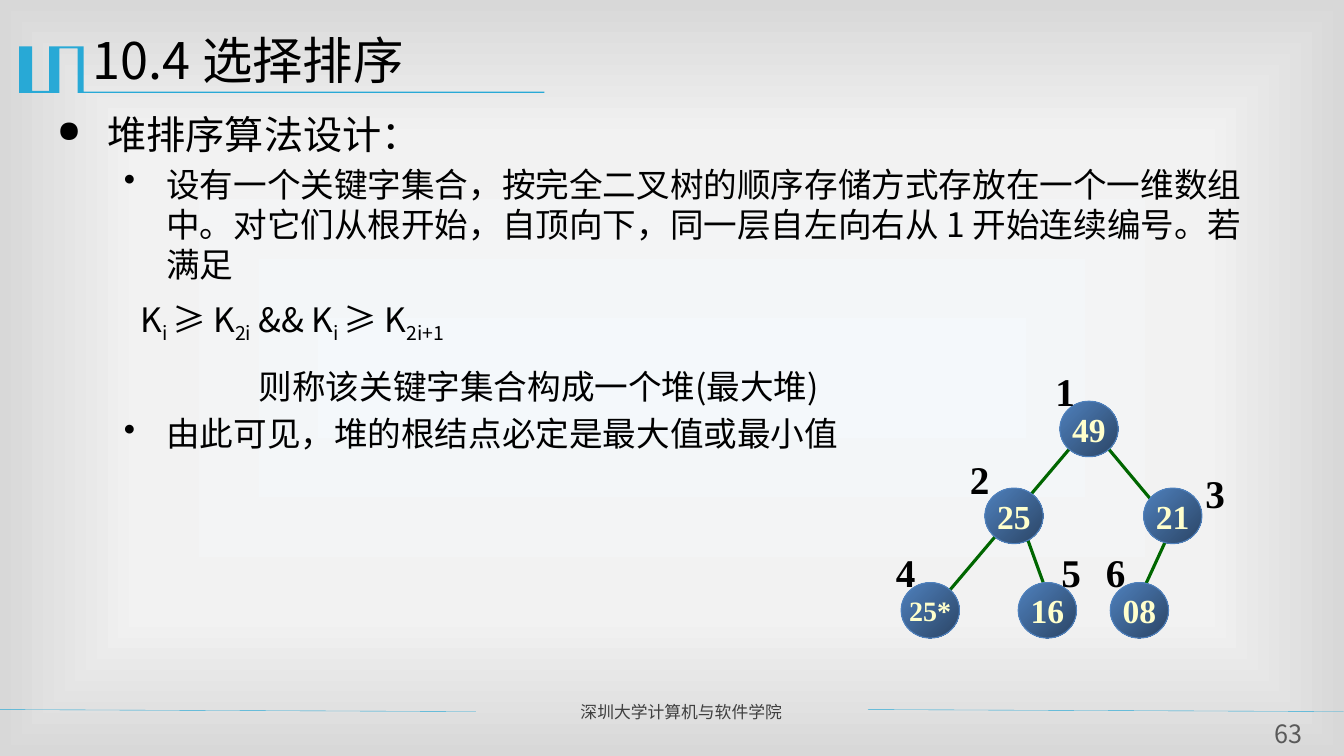
"""Build the heap sort slide: heading, definition text and a numbered heap."""
from lxml import etree
from pptx import Presentation
from pptx.dml.color import RGBColor
from pptx.enum.shapes import MSO_CONNECTOR as Line, MSO_SHAPE as Shape
from pptx.enum.text import MSO_ANCHOR as Anchor, PP_ALIGN as Align
from pptx.oxml import parse_xml
from pptx.oxml.ns import nsdecls, qn
from pptx.util import Cm, Pt

SANS, SERIF = "Noto Sans CJK SC", "Times New Roman"
BLACK, SKY, GREEN, BLUE, NAVY = "000000", "28A9D6", "006600", "4F81BD", "2B4566"
INSET = (0.25, 0.13)

BACK = [(0, "F4F8FB"), (63, "F2F2F2"), (100, "D8D8D8")]
BADGE = [(2.08, 1.17), (2.11, 1.17), (2.11, 2.31), (13.72, 2.31),
         (13.72, 2.34), (1.96, 2.34), (1.96, 1.22), (1.5, 1.22),
         (1.5, 2.34), (0.48, 2.34), (0.48, 1.17), (0.81, 1.17),
         (0.81, 2.29), (1.24, 2.29), (1.24, 1.17)]
RULES = [(-0.03, 17.88, 11.99, 17.93), (21.87, 17.88, 33.86, 17.93)]

TITLE = "10.4 选择排序"
SCHOOL = "深圳大学计算机与软件学院"
PAGE = "63"
FORMULA = [("K", 0), ("i ", 1), ("≥ K", 0), ("2i", 1), (" && K", 0),
           ("i ", 1), ("≥ K", 0), ("2i+1", 1)]
BODY = [
    dict(runs=[("堆排序算法设计：", 0)], size=28, bullet="●", scale=77,
         left=1.27, hang=1.27),
    dict(runs=[("设有一个关键字集合，按完全二叉树的顺序存储方式存放在一个一维数组中。"
                "对它们从根开始，自顶向下，同一层自左向右从 1 开始连续编号。若满足", 0)],
         bullet="•", left=2.75, hang=1.07, before=4.8),
    dict(runs=FORMULA, left=2.11, ratio=0.9, before=10.4, after=12),
    dict(runs=[("则称该关键字集合构成一个堆(最大堆)", 0)],
         left=5.08, ratio=1.05, before=5),
    dict(runs=[("由此可见，堆的根结点必定是最大值或最小值", 0)],
         bullet="•", left=2.75, hang=1.07, before=4.8),
]

EDGES = [(29.44, 13.49, 28.8, 14.88), (27.76, 11.1, 29.44, 13.11),
         (25.86, 13.49, 26.29, 14.68), (27.13, 11.1, 23.75, 15.09)]
NODES = [("49", 26.71, 10.11), ("25", 24.82, 12.3), ("21", 28.82, 12.3),
         ("25*", 22.71, 14.68), ("16", 25.66, 14.68), ("08", 27.98, 14.68)]
MARKS = [("1", 26.35, 9.12), ("2", 24.19, 11.35), ("3", 30.13, 11.7),
         ("4", 22.33, 13.69), ("5", 26.5, 13.69), ("6", 27.62, 13.69)]


def paint(color, tone):
    color.rgb = RGBColor.from_string(tone)


def set_frame(frame, inset=INSET, wrap=True):
    frame.word_wrap = wrap
    frame.margin_left = frame.margin_right = Cm(inset[0])
    frame.margin_top = frame.margin_bottom = Cm(inset[1])
    return frame


def add_box(left, top, width, height, inset=INSET, wrap=True):
    box = slide.shapes.add_textbox(Cm(left), Cm(top), Cm(width), Cm(height))
    return set_frame(box.text_frame, inset, wrap)


def add_run(para, text, size, tone=BLACK, face=SANS, bold=False, sub=0):
    run = para.add_run()
    run.text = text
    font = run.font
    font.size, font.name, font.bold = Pt(size), face, bold
    paint(font.color, tone)
    props = font._element
    etree.SubElement(props, qn("a:ea")).set("typeface", face)
    if sub:
        props.set("baseline", "-25000")


def add_line(ends, tone, width):
    line = slide.shapes.add_connector(Line.STRAIGHT, *[Cm(n) for n in ends])
    paint(line.line.color, tone)
    line.line.width = Pt(width)
    etree.SubElement(line._element.spPr, qn("a:effectLst"))


def add_back():
    stops = "".join(f'<a:gs pos="{pos * 1000}"><a:srgbClr val="{tone}"/></a:gs>'
                    for pos, tone in BACK)
    fill = slide.background.fill
    fill.gradient()
    old = slide._element.cSld.find(".//" + qn("a:gradFill"))
    old.getparent().replace(old, parse_xml(
        f'<a:gradFill {nsdecls("a")} rotWithShape="1"><a:gsLst>{stops}</a:gsLst>'
        '<a:path path="rect"><a:fillToRect l="50000" t="50000" r="50000" b="50000"/>'
        '</a:path></a:gradFill>'))


def add_badge():
    first, *rest = [(Cm(x), Cm(y)) for x, y in BADGE]
    pen = slide.shapes.build_freeform(*first)
    pen.add_line_segments(rest, close=True)
    badge = pen.convert_to_shape()
    badge.shadow.inherit = False
    badge.fill.solid()
    paint(badge.fill.fore_color, SKY)
    badge.line.fill.background()


def add_body():
    frame = add_box(1.19, 2.64, 30.81, 14.3)
    for spot, item in enumerate(BODY):
        para = frame.add_paragraph() if spot else frame.paragraphs[0]
        props = para._p.get_or_add_pPr()
        props.set("marL", str(Cm(item["left"])))
        props.set("indent", str(-Cm(item.get("hang", 0))))
        if "bullet" in item:
            scale = item.get("scale", 100) * 1000
            etree.SubElement(props, qn("a:buSzPct")).set("val", str(scale))
            etree.SubElement(props, qn("a:buChar")).set("char", item["bullet"])
        para.line_spacing = item.get("ratio", 1.0)
        para.space_before = Pt(item.get("before", 0))
        para.space_after = Pt(item.get("after", 0))
        for text, sub in item["runs"]:
            add_run(para, text, item.get("size", 24), sub=sub)


def add_node(text, left, top):
    node = slide.shapes.add_shape(Shape.OVAL, Cm(left), Cm(top), Cm(1.47), Cm(1.4))
    node.shadow.inherit = False
    node.fill.gradient()
    node.fill.gradient_angle = 315
    for stop, tone in zip(node.fill.gradient_stops, (BLUE, NAVY)):
        paint(stop.color, tone)
    paint(node.line.color, BLUE)
    node.line.width = Pt(0.75)
    frame = set_frame(node.text_frame, wrap=False)
    frame.vertical_anchor = Anchor.MIDDLE
    para = frame.paragraphs[0]
    para.alignment = Align.CENTER
    add_run(para, text, 20 if len(text) > 2 else 24, "FFFFCC", SERIF, True)


def add_label(text, place, size, tone, align=Align.LEFT, inset=INSET):
    para = add_box(*place, inset).paragraphs[0]
    para.alignment = align
    add_run(para, text, size, tone)


deck = Presentation()
deck.slide_width, deck.slide_height = Cm(33.87), Cm(19.05)
slide = deck.slides.add_slide(deck.slide_layouts[6])

add_back()
add_badge()
for ends in RULES:
    add_line(ends, SKY, 0.25)
add_label(SCHOOL, (14.38, 17.55, 7.24, 0.76), 12, "3F3F3F")
add_body()
add_label(TITLE, (2.09, 0.61, 30.48, 2.21), 36, BLACK)
add_label(PAGE, (31.71, 18.11, 1.5, 0.79), 18, "595959", Align.CENTER, (0, 0))
for ends in EDGES:
    add_line(ends, GREEN, 2.25)
for node in NODES:
    add_node(*node)
for text, left, top in MARKS:
    frame = add_box(left, top, 1.02, 1.45, wrap=False)
    add_run(frame.paragraphs[0], text, 28, face=SERIF, bold=True)

deck.save("out.pptx")
